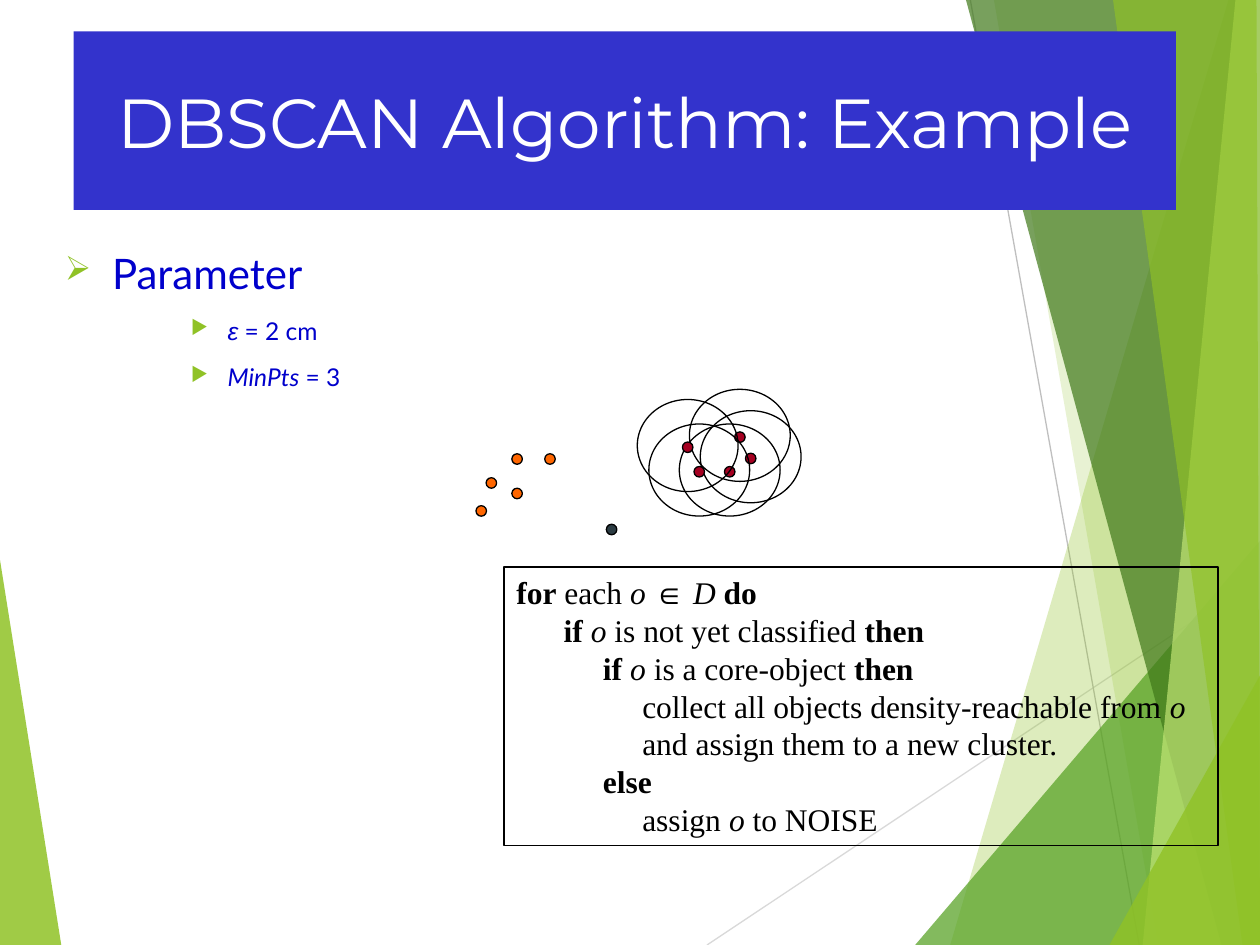
from lxml.etree import SubElement
from pptx import Presentation
from pptx.dml.color import RGBColor
from pptx.enum.shapes import MSO_CONNECTOR, MSO_SHAPE
from pptx.enum.text import MSO_ANCHOR, PP_ALIGN
from pptx.oxml.ns import qn
from pptx.util import Pt

WHITE = RGBColor(0xFF, 0xFF, 0xFF)
BLACK = RGBColor(0, 0, 0)
BANNER_BLUE = RGBColor(0x33, 0x33, 0xCC)
TEXT_BLUE = RGBColor(0, 0, 0xCC)
LIME = RGBColor(0x90, 0xC2, 0x26)
GREEN = RGBColor(0x54, 0xA0, 0x21)
FOREST = RGBColor(0x3F, 0x78, 0x19)
PALE_LIME = RGBColor(0xC0, 0xE4, 0x74)
LIGHT_GRAY = RGBColor(0xD9, 0xD9, 0xD9)
GRAY = RGBColor(0xBF, 0xBF, 0xBF)
ORANGE = RGBColor(0xFF, 0x66, 0)
SLATE = RGBColor(0x2C, 0x3C, 0x43)
CRIMSON = RGBColor(0xA5, 0, 0x21)

WIDTH, HEIGHT = 720, 540
DOT = 6
REACH_WIDTH, REACH_HEIGHT = 57.6, 52.6

LEFT_FACET = (LIME, 85, [(0, 320), (35, HEIGHT), (0, HEIGHT)])
RAYS = [
    (LIGHT_GRAY, (404, HEIGHT), (WIDTH, 329.5)),
    (GRAY, (554.5, 0), (651, HEIGHT)),
]
RIGHT_FACETS = [
    (LIME, 30, [(702, 0), (543, HEIGHT), (WIDTH, HEIGHT), (WIDTH, 0)]),
    (LIME, 20, [(567.5, 0), (662, HEIGHT), (WIDTH, HEIGHT), (WIDTH, 0)]),
    (GREEN, 72, [(523, HEIGHT), (WIDTH, 309), (WIDTH, HEIGHT)]),
    (FOREST, 70, [(552.5, 0), (698.5, HEIGHT), (WIDTH, HEIGHT), (WIDTH, 0)]),
    (PALE_LIME, 70, [(706.5, 0), (653, HEIGHT), (WIDTH, HEIGHT), (WIDTH, 0)]),
    (LIME, 65, [(636, 0), (710, HEIGHT), (WIDTH, HEIGHT), (718.5, 0)]),
    (LIME, 80, [(634.5, HEIGHT), (WIDTH, 385.5), (WIDTH, HEIGHT)]),
]

SMALL_CLUSTER = [(275, 292), (295.5, 262.3), (314.3, 262.3), (280.8, 276), (295.5, 282)]
NOISE_POINT = (349.5, 302.6)
CORE_POINTS = [(429, 262), (422.8, 249.8), (417, 269.6), (399.6, 269.6), (393, 255.6)]

HEADING = {"name": "Lato", "size": Pt(24)}
PLAIN = {"name": "Lato", "size": Pt(14)}
SLANTED = {**PLAIN, "italic": True}
EPSILON = {**SLANTED, "name": "Arial"}
PARAMETERS = [
    ("➢", 27, 27, 0, [("Parameter", HEADING)]),
    ("▶", 93, 21, 10, [("ε", EPSILON), (" = 2 cm", PLAIN)]),
    ("▶", 93, 21, 10, [("MinPts", SLANTED), (" = 3", PLAIN)]),
]

CODE = {"name": "Times New Roman", "size": Pt(18)}
KEYWORD = {**CODE, "bold": True}
VARIABLE = {**CODE, "italic": True}
SYMBOL = {**CODE, "name": "Arial"}
PSEUDOCODE = [
    [("for", KEYWORD), (" each ", CODE), ("o ", VARIABLE), ("∈", SYMBOL),
     (" D ", VARIABLE), ("do", KEYWORD)],
    [("      if ", KEYWORD), ("o", VARIABLE), (" is not yet classified ", CODE),
     ("then", KEYWORD)],
    [("           if ", KEYWORD), ("o", VARIABLE), (" is a core-object ", CODE),
     ("then", KEYWORD)],
    [("                collect all objects density-reachable from ", CODE),
     ("o", VARIABLE)],
    [("                and assign them to a new cluster.", CODE)],
    [("           else", KEYWORD)],
    [("                assign ", CODE), ("o", VARIABLE), (" to NOISE", CODE)],
]


def style_shape(shape, fill=None, line=None):
    """Give a shape its fill and outline, without a shadow."""
    shape.shadow.inherit = False
    if fill is None:
        shape.fill.background()
    else:
        shape.fill.solid()
        shape.fill.fore_color.rgb = fill
    if line is None:
        shape.line.fill.background()
    else:
        shape.line.color.rgb = line
        shape.line.width = Pt(0.75)


def add_facet(slide, color, opacity, corners):
    """Draw one translucent polygon of the backdrop."""
    builder = slide.shapes.build_freeform(*corners[0], scale=Pt(1))
    builder.add_line_segments(corners[1:], close=True)
    facet = builder.convert_to_shape()
    style_shape(facet, color)
    tint = facet.fill._xPr.find(qn("a:solidFill")).find(qn("a:srgbClr"))
    SubElement(tint, qn("a:alpha"), val=str(opacity * 1000))


def add_ray(slide, color, start, end):
    """Draw one thin line of the backdrop."""
    ends = [Pt(value) for value in (*start, *end)]
    ray = slide.shapes.add_connector(MSO_CONNECTOR.STRAIGHT, *ends)
    ray.line.color.rgb = color
    ray.line.width = Pt(0.75)
    SubElement(ray._element.spPr, qn("a:effectLst"))


def add_preset(slide, kind, box, fill=None, line=None):
    """Add a preset shape at a box given in points."""
    shape = slide.shapes.add_shape(kind, *[Pt(value) for value in box])
    style_shape(shape, fill, line)
    return shape


def add_ellipse(slide, center, width, height, fill=None):
    """Add an outlined ellipse around a centre."""
    x, y = center
    box = (x - width / 2, y - height / 2, width, height)
    add_preset(slide, MSO_SHAPE.OVAL, box, fill, BLACK)


def add_runs(paragraph, runs, color):
    """Fill a paragraph with formatted runs."""
    for text, formats in runs:
        run = paragraph.add_run()
        run.text = text
        run.font.color.rgb = color
        for name, value in formats.items():
            setattr(run.font, name, value)


def paragraphs_for(frame, items):
    """Yield a paragraph of the frame with each item."""
    for index, item in enumerate(items):
        yield (frame.add_paragraph() if index else frame.paragraphs[0]), item


def set_bullet(paragraph, symbol, margin, hanging):
    """Give a paragraph a lime bullet and a hanging indent."""
    properties = paragraph._p.get_or_add_pPr()
    for name, value in {"marL": margin, "indent": -hanging}.items():
        properties.set(name, str(Pt(value)))
    SubElement(SubElement(properties, qn("a:buClr")), qn("a:srgbClr"), val=str(LIME))
    SubElement(properties, qn("a:buSzPct"), val="80000")
    SubElement(properties, qn("a:buChar"), char=symbol)


def add_title(slide):
    """Add the title banner."""
    banner = add_preset(slide, MSO_SHAPE.RECTANGLE, (42, 18, 630, 102), BANNER_BLUE)
    banner.text_frame.word_wrap = True
    banner.text_frame.vertical_anchor = MSO_ANCHOR.MIDDLE
    heading = banner.text_frame.paragraphs[0]
    heading.alignment = PP_ALIGN.CENTER
    formats = {"name": "Montserrat", "size": Pt(39.6)}
    add_runs(heading, [("DBSCAN Algorithm: Example", formats)], WHITE)


def add_parameters(slide):
    """Add the bulleted parameter list."""
    box = [Pt(value) for value in (30, 138, 612, 324)]
    frame = slide.shapes.add_textbox(*box).text_frame
    frame.word_wrap = True
    for paragraph, (symbol, margin, hanging, gap, runs) in paragraphs_for(frame, PARAMETERS):
        if gap:
            paragraph.space_before = Pt(gap)
        set_bullet(paragraph, symbol, margin, hanging)
        add_runs(paragraph, runs, TEXT_BLUE)


def add_pseudocode(slide):
    """Add the framed pseudocode."""
    panel = add_preset(slide, MSO_SHAPE.RECTANGLE, (288, 324, 408, 159), line=BLACK)
    panel.text_frame.word_wrap = True
    panel.text_frame.vertical_anchor = MSO_ANCHOR.TOP
    for paragraph, runs in paragraphs_for(panel.text_frame, PSEUDOCODE):
        paragraph.alignment = PP_ALIGN.LEFT
        add_runs(paragraph, runs, BLACK)


def main():
    """Build and save the slide."""
    deck = Presentation()
    deck.slide_width, deck.slide_height = Pt(WIDTH), Pt(HEIGHT)
    slide = deck.slides.add_slide(deck.slide_layouts[6])
    add_facet(slide, *LEFT_FACET)
    for ray in RAYS:
        add_ray(slide, *ray)
    for facet in RIGHT_FACETS:
        add_facet(slide, *facet)
    add_title(slide)
    add_parameters(slide)
    for point in SMALL_CLUSTER:
        add_ellipse(slide, point, DOT, DOT, ORANGE)
    add_ellipse(slide, NOISE_POINT, DOT, DOT, SLATE)
    for x, y in CORE_POINTS:
        add_ellipse(slide, (x, y - 1), REACH_WIDTH, REACH_HEIGHT)
        add_ellipse(slide, (x, y), DOT, DOT, CRIMSON)
    add_pseudocode(slide)
    deck.save("out.pptx")


if __name__ == "__main__":
    main()
